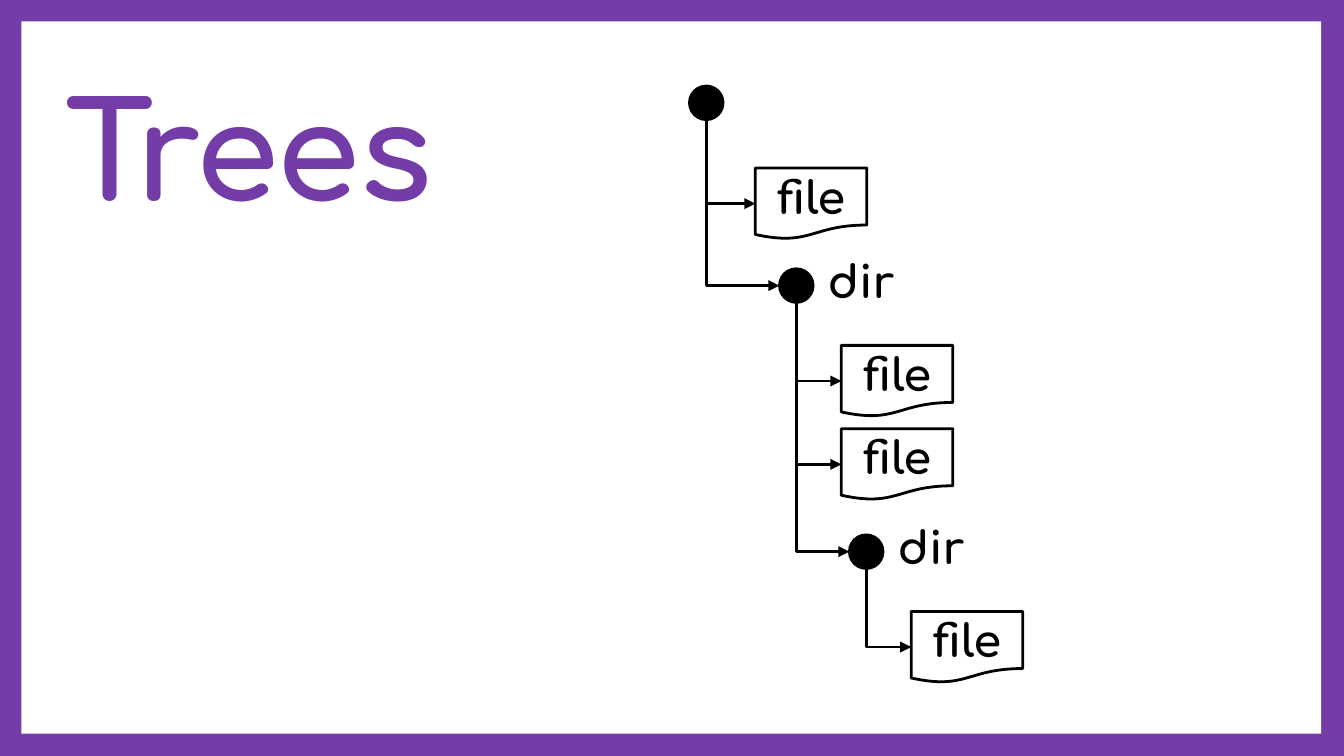
from dataclasses import dataclass

from lxml import etree
from pptx import Presentation
from pptx.dml.color import RGBColor
from pptx.enum.shapes import MSO_CONNECTOR, MSO_SHAPE
from pptx.enum.text import MSO_ANCHOR, PP_ALIGN
from pptx.oxml.ns import qn
from pptx.slide import Slide
from pptx.util import Inches, Pt

ELBOW = MSO_CONNECTOR.ELBOW
RECTANGLE, CIRCLE, DOCUMENT = MSO_SHAPE.RECTANGLE, MSO_SHAPE.OVAL, MSO_SHAPE.FLOWCHART_DOCUMENT
TOP, MIDDLE = MSO_ANCHOR.TOP, MSO_ANCHOR.MIDDLE
LEFT, CENTER = PP_ALIGN.LEFT, PP_ALIGN.CENTER

PURPLE = RGBColor(0x73, 0x3C, 0xA6)
BLACK = RGBColor(0x00, 0x00, 0x00)
WHITE = RGBColor(0xFF, 0xFF, 0xFF)

FONT = "Comfortaa"
STROKE = Pt(1.5)
SLIDE_WIDTH = 10
SLIDE_HEIGHT = SLIDE_WIDTH * 9 / 16
DOT = 0.25
FILE_WIDTH, FILE_HEIGHT = 0.83, 0.53
LABEL_WIDTH, LABEL_HEIGHT = 0.99, 0.69


@dataclass(frozen=True)
class File:
    left: float
    top: float


@dataclass(frozen=True)
class Directory:
    left: float
    top: float
    label: str
    children: tuple


TREE = Directory(5.13, 0.64, "", (
    File(5.62, 1.25),
    Directory(5.8, 2, "dir", (
        File(6.26, 2.57),
        File(6.26, 3.19),
        Directory(6.32, 3.98, "dir", (File(6.78, 4.55),)),
    )),
))


def add_outline(slide: Slide, kind: MSO_SHAPE, left: float, top: float,
                width: float, height: float, fill: RGBColor, line: RGBColor) -> None:
    outline = slide.shapes.add_shape(
        kind, Inches(left), Inches(top), Inches(width), Inches(height))
    outline.shadow.inherit = False
    outline.fill.solid()
    outline.fill.fore_color.rgb = fill
    outline.line.color.rgb = line
    outline.line.width = STROKE


def add_text(slide: Slide, text: str, left: float, top: float, width: float, height: float,
             size: int, color: RGBColor, align: PP_ALIGN, anchor: MSO_ANCHOR) -> None:
    frame = slide.shapes.add_textbox(
        Inches(left), Inches(top), Inches(width), Inches(height)).text_frame
    frame.word_wrap = True
    frame.vertical_anchor = anchor
    frame.margin_left = frame.margin_right = Inches(0.1)
    frame.margin_top = frame.margin_bottom = Inches(0.1)
    paragraph = frame.paragraphs[0]
    paragraph.text = text
    paragraph.alignment = align
    paragraph.font.name = FONT
    paragraph.font.size = Pt(size)
    paragraph.font.bold = True
    paragraph.font.color.rgb = color


def add_label(slide: Slide, text: str, left: float, top: float, align: PP_ALIGN) -> None:
    add_text(slide, text, left, top, LABEL_WIDTH, LABEL_HEIGHT, 24, BLACK, align, TOP)


def add_branch(slide: Slide, start_x: float, start_y: float, end_x: float, end_y: float) -> None:
    across, down = end_x - start_x, end_y - start_y
    left = (start_x + end_x - down) / 2
    top = (start_y + end_y - across) / 2
    branch = slide.shapes.add_connector(
        ELBOW, Inches(left), Inches(top), Inches(left + down), Inches(top + across))
    branch.line.color.rgb = BLACK
    branch.line.width = STROKE
    properties = branch._element.spPr
    transform = properties.find(qn("a:xfrm"))
    transform.set("rot", "16200000")
    transform.set("flipH", "1")
    properties.find(qn("a:prstGeom")).set("prst", "bentConnector2")
    etree.SubElement(properties.find(qn("a:ln")), qn("a:tailEnd"), type="triangle")
    etree.SubElement(properties, qn("a:effectLst"))


def add_file(slide: Slide, file: File) -> None:
    add_outline(slide, DOCUMENT, file.left, file.top, FILE_WIDTH, FILE_HEIGHT, WHITE, BLACK)
    add_label(slide, "file", file.left - 0.08, file.top - 0.09, CENTER)


def add_directory(slide: Slide, directory: Directory) -> None:
    for child in directory.children:
        height = FILE_HEIGHT if isinstance(child, File) else DOT
        add_branch(slide, directory.left + DOT / 2, directory.top + DOT,
                   child.left, child.top + height / 2)
        if isinstance(child, File):
            add_file(slide, child)
        else:
            add_directory(slide, child)
    add_outline(slide, CIRCLE, directory.left, directory.top, DOT, DOT, BLACK, BLACK)
    if directory.label:
        add_label(slide, directory.label, directory.left + 0.26, directory.top - 0.21, LEFT)


def main() -> None:
    presentation = Presentation()
    presentation.slide_width = Inches(SLIDE_WIDTH)
    presentation.slide_height = Inches(SLIDE_HEIGHT)
    slide = presentation.slides.add_slide(presentation.slide_layouts[6])
    slide.background.fill.solid()
    slide.background.fill.fore_color.rgb = PURPLE

    panel = slide.shapes.add_shape(
        RECTANGLE, Inches(0.16), Inches(0.16), Inches(9.67), Inches(5.3))
    panel.shadow.inherit = False
    panel.fill.solid()
    panel.fill.fore_color.rgb = WHITE
    panel.line.fill.background()

    add_text(slide, "Trees", 0.39, 0.42, 3.87, 1.36, 72, PURPLE, LEFT, MIDDLE)
    add_directory(slide, TREE)
    presentation.save("out.pptx")


if __name__ == "__main__":
    main()
